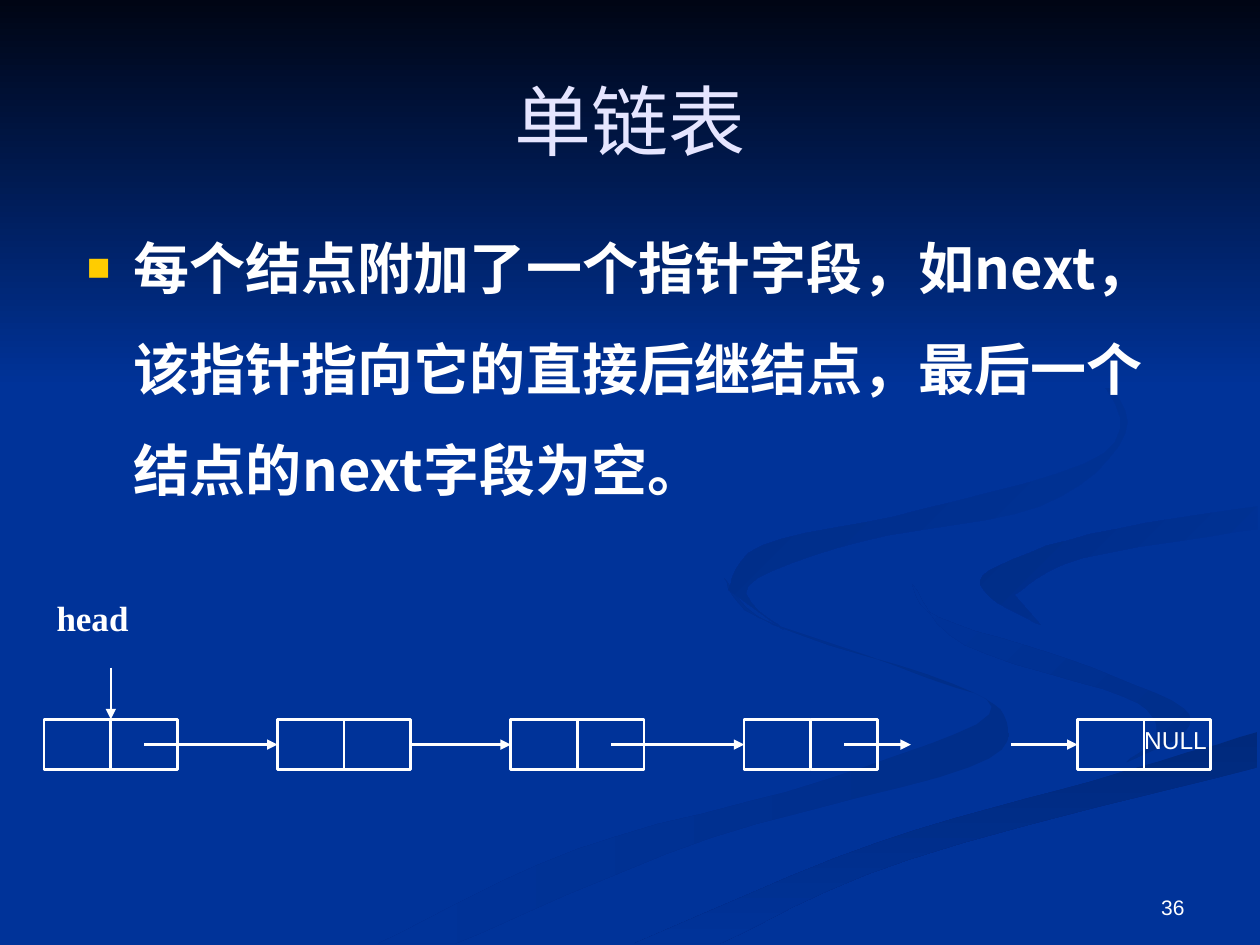
"""Build a slide on the singly linked list, with a diagram of its nodes."""
from lxml import etree
from pptx import Presentation
from pptx import util as u
from pptx.dml.color import RGBColor
from pptx.enum import shapes, text
from pptx.oxml.ns import qn

WHITE, BLUE = "FFFFFF", "003399"
SANS, SERIF, CJK = "Arial", "Times New Roman", "Noto Sans CJK SC"
LEFT, MID, RIGHT = text.PP_ALIGN.LEFT, text.PP_ALIGN.CENTER, text.PP_ALIGN.RIGHT
TOP, HALF, LOW = text.MSO_ANCHOR.TOP, text.MSO_ANCHOR.MIDDLE, text.MSO_ANCHOR.BOTTOM

BODY = "每个结点附加了一个指针字段，如next，该指针指向它的直接后继结点，最后一个结点的next字段为空。"
LABELS = [
    ("单链表", (1.9, 1.12, 21.6, 2.59), 44, SERIF, "E5E5FF", False, MID, HALF),
    (BODY, (1.5, 3.91, 22.6, 11.84), 32, CJK, WHITE, True, LEFT, TOP),
    ("head", (0.89, 11.91, 3.35, 1.55), 20, SERIF, WHITE, True, LEFT, TOP),
    ("36", (18.21, 17.35, 5.92, 1.32), 12, SANS, WHITE, False, RIGHT, LOW),
]

NODES = [0, 7, 14, 21, 31]
ARROWS = [(3, 7), (11, 14), (17, 21), (24, 26), (29, 31)]
EDGE, SPAN, UNITS = 0.89, 23.52, 35
ROW, TALL, DROP = 14.5, 1.02, 1.04

RIBBONS = [
    ("002E8A", BLUE, 180,
     [(575, 459), (602, 490), (728, 535), (785, 567), (652, 620), (458, 674), (300, 749)],
     [(361, 749), (564, 665), (769, 609), (799, 573), (757, 543), (614, 496), (575, 459)]),
    ("002E8A", BLUE, 225,
     [(724, 464), (766, 512), (892, 553), (918, 581), (894, 605)],
     [(937, 586), (939, 562), (850, 524), (745, 490), (724, 464)]),
    ("00297C", BLUE, 90,
     [(998, 581), (867, 620), (696, 669), (503, 749)],
     [(571, 749), (722, 682), (998, 609)]),
    (BLUE, "002C85", 225,
     [(998, 402), (865, 424), (785, 453), (786, 474), (826, 496)],
     [(805, 472), (859, 443), (998, 420)]),
    (BLUE, "002B81", 225,
     [(762, 233), (864, 291), (893, 344), (825, 402), (683, 430), (594, 465), (622, 500)],
     [(578, 468), (605, 433), (733, 404), (876, 360), (870, 299), (762, 233)]),
]


def hue(code):
    """Return the colour of a hex string."""
    return RGBColor.from_string(code)


def curve(knots, steps=6):
    """Return points of a smooth line that runs through the knots."""
    line = [knots[0], *knots, knots[-1]]
    spots = [knots[0]]
    for four in zip(line, line[1:], line[2:], line[3:]):
        for step in range(1, steps + 1):
            t = step / steps
            spots.append(tuple(
                b + t * (c - a + t * (2 * a - 5 * b + 4 * c - d
                                      + t * (3 * b - a - 3 * c + d))) / 2
                for a, b, c, d in zip(*four)))
    return spots


def shade(shape, first, last, turn):
    """Fill a shape with a gradient and take off its outline."""
    shape.shadow.inherit = False
    shape.line.fill.background()
    shape.fill.gradient()
    shape.fill.gradient_angle = 360 - turn
    for stop, code in zip(shape.fill.gradient_stops, (first, last)):
        stop.color.rgb = hue(code)


def style(frame, words, size, face, code, bold, side, hold):
    """Put one formatted paragraph in a text frame."""
    frame.text = words
    frame.word_wrap = True
    frame.vertical_anchor = hold
    para = frame.paragraphs[0]
    para.alignment = side
    font = para.runs[0].font
    font.size, font.name, font.bold = u.Pt(size), face, bold
    font.color.rgb = hue(code)
    if face == CJK:
        etree.SubElement(para.runs[0]._r.get_or_add_rPr(), qn("a:ea"), typeface=face)
    return para


def dot(para):
    """Give a paragraph a hanging square bullet."""
    para.line_spacing = 1.5
    props = para._p.get_or_add_pPr()
    props.set("marL", str(u.Cm(0.95)))
    props.set("indent", str(-u.Cm(0.95)))
    tint = etree.SubElement(props, qn("a:buClr"))
    etree.SubElement(tint, qn("a:srgbClr"), val="FFCC00")
    etree.SubElement(props, qn("a:buSzPct"), val="70000")
    etree.SubElement(props, qn("a:buFont"), typeface=SANS)
    etree.SubElement(props, qn("a:buChar"), char="■")


def arrow(pool, *ends):
    """Draw a white arrow between two points in centimetres."""
    line = pool.add_connector(shapes.MSO_CONNECTOR.STRAIGHT, *map(u.Cm, ends))
    line.line.color.rgb = hue(WHITE)
    line.line.width = u.Pt(1.5)
    etree.SubElement(line.line._get_or_add_ln(), qn("a:tailEnd"), type="triangle")
    etree.SubElement(line._element.spPr, qn("a:effectLst"))
    return line


def chain(pool):
    """Draw the nodes of the list and the arrows that link them."""
    step = SPAN / UNITS
    cells = {}
    for slot in (node + part for node in NODES for part in (0, 2)):
        box = (EDGE + slot * step, ROW, 2 * step, TALL)
        cell = pool.add_shape(shapes.MSO_SHAPE.RECTANGLE, *map(u.Cm, box))
        cell.shadow.inherit = False
        cell.fill.background()
        cell.line.color.rgb = hue(WHITE)
        cell.line.width = u.Pt(1.5)
        cells[slot] = cell
    frame = cells[NODES[-1] + 2].text_frame
    style(frame, "NULL", 14, SANS, WHITE, False, LEFT, TOP)
    frame.margin_left = frame.margin_right = 0
    mid = ROW + TALL / 2
    for tail, head in ARROWS:
        line = arrow(pool, EDGE + tail * step, mid, EDGE + head * step, mid)
        if tail - 4 in NODES:
            line.begin_connect(cells[tail - 2], 3)
        if head in NODES:
            line.end_connect(cells[head], 1)
    seam = EDGE + 2 * step
    arrow(pool, seam, ROW - DROP, seam, ROW)


def main():
    """Build and save the slide."""
    deck = Presentation()
    deck.slide_width, deck.slide_height = u.Cm(25.4), u.Cm(19.05)
    slide = deck.slides.add_slide(deck.slide_layouts[6])
    pool = slide.shapes
    slide.background.fill.solid()
    slide.background.fill.fore_color.rgb = hue(BLUE)
    for first, last, turn, out, back in RIBBONS:
        spots = curve(out) + curve(back)
        pen = pool.build_freeform(*spots[0], scale=u.Cm(2.54) / 100)
        pen.add_line_segments(spots[1:], close=True)
        shade(pen.convert_to_shape(), first, last, turn)
    sky = pool.add_shape(shapes.MSO_SHAPE.RECTANGLE, 0, 0, deck.slide_width, u.Cm(7.82))
    shade(sky, "000514", BLUE, 90)
    for words, box, *look in LABELS:
        label = pool.add_textbox(*map(u.Cm, box))
        para = style(label.text_frame, words, *look)
        if words == BODY:
            dot(para)
    chain(pool)
    deck.save("out.pptx")


if __name__ == "__main__":
    main()
